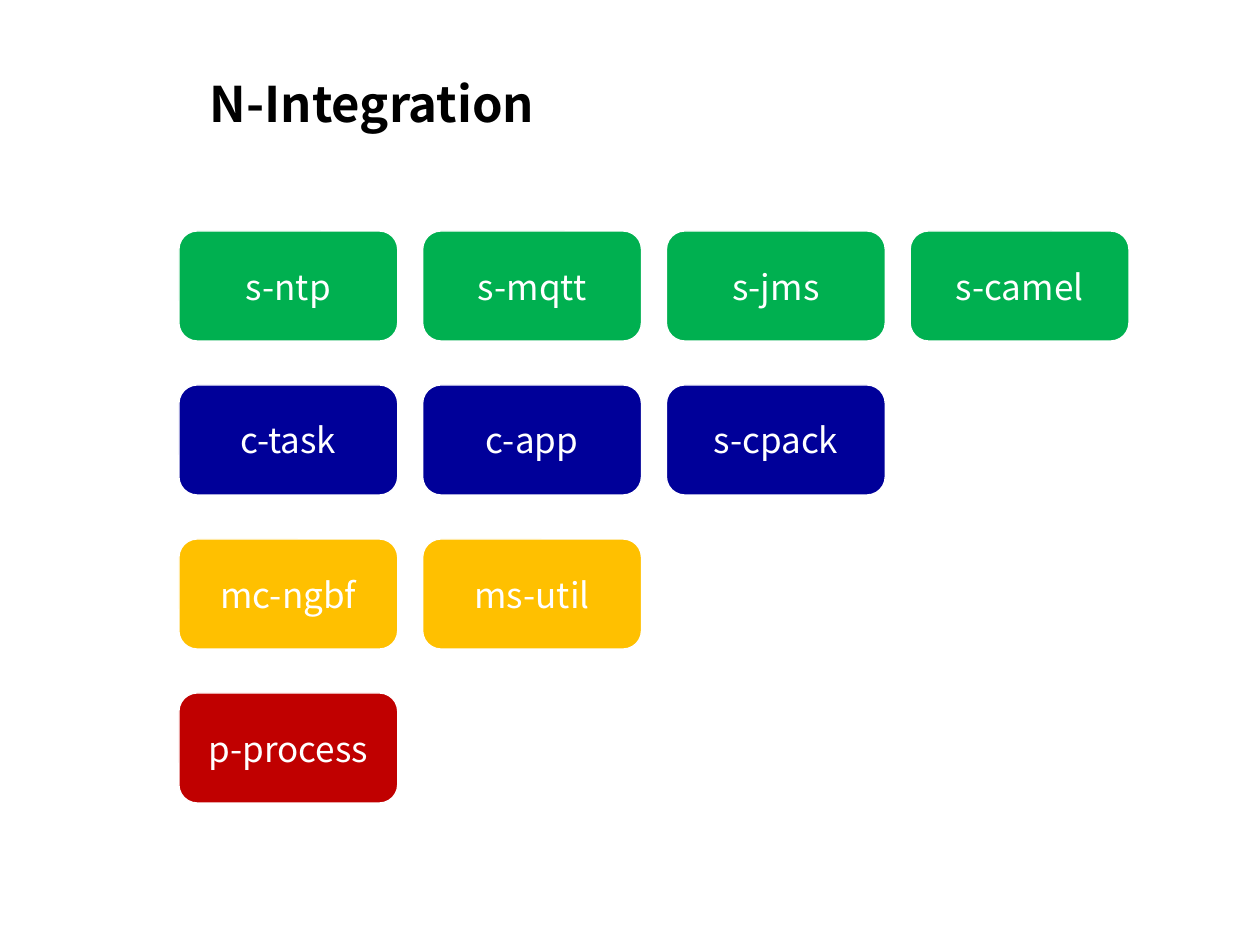
from dataclasses import dataclass

from pptx import Presentation
from pptx.dml.color import RGBColor
from pptx.enum.shapes import MSO_SHAPE
from pptx.enum.text import MSO_ANCHOR, MSO_AUTO_SIZE, PP_ALIGN
from pptx.util import Emu, Pt

PX_PER_INCH = 126


@dataclass(frozen=True)
class Theme:
    font: str = "Noto Sans CJK SC"
    title_size: int = 28
    module_size: int = 20
    outline_width: float = 0.75
    black: str = "000000"
    white: str = "FFFFFF"
    green: str = "00B050"
    blue: str = "000099"
    amber: str = "FFC000"
    red: str = "C00000"


THEME = Theme()

MODULE_ROWS = [
    (THEME.green, ["s-ntp", "s-mqtt", "s-jms", "s-camel"]),
    (THEME.blue, ["c-task", "c-app", "s-cpack"]),
    (THEME.amber, ["mc-ngbf", "ms-util"]),
    (THEME.red, ["p-process"]),
]


def px(length):
    return Emu(round(length * 914400 / PX_PER_INCH))


def add_run(paragraph, text, size, color, bold=False):
    run = paragraph.add_run()
    run.text = text
    run.font.name = THEME.font
    run.font.size = Pt(size)
    run.font.bold = bold
    run.font.color.rgb = RGBColor.from_string(color)


def place_title(slide, box, text):
    title = slide.shapes.title
    title.left, title.top, title.width, title.height = map(px, box)
    frame = title.text_frame
    frame.margin_left = frame.margin_top = frame.margin_right = frame.margin_bottom = 0
    frame.auto_size = MSO_AUTO_SIZE.NONE
    frame.vertical_anchor = MSO_ANCHOR.TOP
    heading = frame.paragraphs[0]
    heading.alignment = PP_ALIGN.LEFT
    add_run(heading, text, THEME.title_size, THEME.black, bold=True)


def add_module(slide, box, name, color):
    module = slide.shapes.add_shape(MSO_SHAPE.ROUNDED_RECTANGLE, *map(px, box))
    module.shadow.inherit = False
    module.fill.solid()
    module.fill.fore_color.rgb = RGBColor.from_string(color)
    module.line.color.rgb = RGBColor.from_string(THEME.white)
    module.line.width = Pt(THEME.outline_width)
    frame = module.text_frame
    frame.vertical_anchor = MSO_ANCHOR.MIDDLE
    label = frame.paragraphs[0]
    label.alignment = PP_ALIGN.CENTER
    add_run(label, name, THEME.module_size, THEME.white)


def add_module_grid(slide, box, rows):
    left, top, width, height = box
    column_gap, row_gap = 25, 44
    columns = max(len(names) for _, names in rows)
    module_width = (width - column_gap * (columns - 1)) / columns
    module_height = (height - row_gap * (len(rows) - 1)) / len(rows)
    for row, (color, names) in enumerate(rows):
        y = top + row * (module_height + row_gap)
        for column, name in enumerate(names):
            x = left + column * (module_width + column_gap)
            add_module(slide, (x, y, module_width, module_height), name, color)


def main():
    deck = Presentation()
    deck.slide_width, deck.slide_height = px(1260), px(945)
    slide = deck.slides.add_slide(deck.slide_layouts[5])  # title only

    # Heading
    place_title(slide, (210, 73, 882, 74), "N-Integration")

    # Modules, one colour per row
    add_module_grid(slide, (179, 231, 950, 572), MODULE_ROWS)

    deck.save("out.pptx")


if __name__ == "__main__":
    main()
